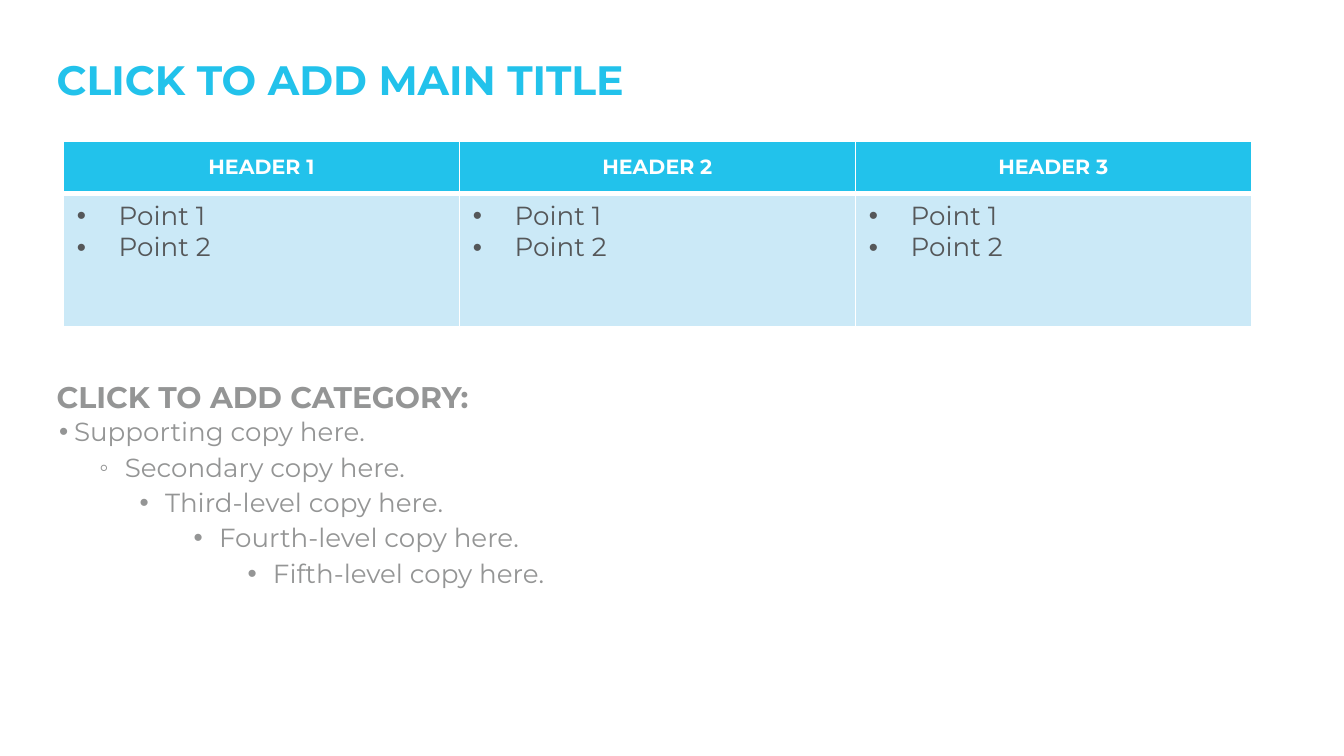
from collections import namedtuple

from lxml import etree
from pptx import Presentation
from pptx import util as u
from pptx.dml.color import RGBColor
from pptx.enum import text
from pptx.oxml import ns

COLOURS = {"cyan": "22C2EB", "pale": "CBE9F7", "white": "FFFFFF",
           "dark": "555759", "grey": "949595"}
FONT = "Montserrat"
Box = namedtuple("Box", "left top width height")  # centimetres


def colour(name):
    return RGBColor.from_string(COLOURS[name])


def add_solid(parent, tag, name):
    """Append a colour element, wrapped in the given tag."""
    holder = etree.SubElement(parent, ns.qn(tag))
    etree.SubElement(holder, ns.qn("a:srgbClr"), val=COLOURS[name])


def write(frame, content, first=False, size=14, ink="grey", bold=False,
          align=text.PP_ALIGN.LEFT, spacing=1.0, before=0, level=0,
          bullet=None, indent=0, hang=0):
    """Write one paragraph; indent and hang are in centimetres."""
    para = frame.paragraphs[0] if first else frame.add_paragraph()
    para.alignment, para.level, para.line_spacing = align, level, spacing
    if before:
        para.space_before = u.Pt(before)
    if bullet:
        props = para._p.get_or_add_pPr()
        props.set("marL", str(u.Cm(indent)))
        props.set("indent", str(-u.Cm(hang)))
        add_solid(props, "a:buClr", ink)
        etree.SubElement(props, ns.qn("a:buFont"), typeface="Arial")
        etree.SubElement(props, ns.qn("a:buChar"), char=bullet)
    span = para.add_run()
    span.text = content
    span.font.name, span.font.size, span.font.bold = FONT, u.Pt(size), bold
    span.font.color.rgb = colour(ink)


def add_frame(page, box):
    frame = page.shapes.add_textbox(*map(u.Cm, box)).text_frame
    frame.word_wrap = True
    frame.vertical_anchor = text.MSO_ANCHOR.TOP
    return frame


def add_heading(page, box, content, **style):
    write(add_frame(page, box), content, first=True, bold=True,
          spacing=0.9, **style)


def style_cell(cell, fill, **widths):
    """Give a cell white borders (widths in points) and a fill."""
    props = cell._tc.get_or_add_tcPr()
    for side in "LRTB":
        line = etree.SubElement(props, ns.qn(f"a:ln{side}"),
                                w=str(u.Pt(widths.get(side, 1))))
        add_solid(line, "a:solidFill", "white")
    cell.fill.solid()
    cell.fill.fore_color.rgb = colour(fill)


def add_points_table(page, box, headers, points, header_height):
    table = page.shapes.add_table(2, len(headers), *map(u.Cm, box)).table
    table.horz_banding = False
    table.rows[0].height = u.Cm(header_height)
    table.rows[1].height = u.Cm(box.height - header_height)
    for index, header in enumerate(headers):
        table.columns[index].width = u.Cm(box.width / len(headers))
        # Header cell
        cell = table.cell(0, index)
        style_cell(cell, "cyan", B=3)
        cell.vertical_anchor = text.MSO_ANCHOR.MIDDLE
        write(cell.text_frame, header, first=True, size=11, ink="white",
              bold=True, align=text.PP_ALIGN.CENTER)
        # Bulleted cell
        cell = table.cell(1, index)
        style_cell(cell, "pale", T=3)
        for number, point in enumerate(points):
            write(cell.text_frame, point, first=number == 0, ink="dark",
                  bullet="•", indent=0.79, hang=0.79)


def add_outline(page, box, items):
    frame = add_frame(page, box)
    for level, (content, bullet, indent, hang) in enumerate(items):
        write(frame, content, first=level == 0, level=level, spacing=0.9,
              before=3.8 if level else 0, bullet=bullet, indent=indent,
              hang=hang)


def main():
    deck = Presentation()
    deck.slide_width, deck.slide_height = u.Cm(25.4), u.Cm(14.29)
    page = deck.slides.add_slide(deck.slide_layouts[6])

    # Title
    add_heading(page, Box(0.82, 1.02, 22.78, 0.94),
                "CLICK TO ADD MAIN TITLE", size=22, ink="cyan")
    # Table
    add_points_table(page, Box(1.2, 2.67, 22.45, 3.5),
                     [f"HEADER {number}" for number in (1, 2, 3)],
                     ["Point 1", "Point 2"], header_height=0.98)
    # Category and its outline
    add_heading(page, Box(0.82, 7.11, 22.78, 0.69),
                "CLICK TO ADD CATEGORY:", size=16)
    add_outline(page, Box(0.87, 7.8, 22.78, 4.14), [
        ("Supporting copy here.", "•", 0.28, 0.28),
        ("Secondary copy here.", "◦", 1.24, 0.48),
        ("Third-level copy here.", "•", 2.0, 0.48),
        ("Fourth-level copy here.", "•", 3.02, 0.48),
        ("Fifth-level copy here.", "•", 4.04, 0.48),
    ])
    deck.save("out.pptx")


if __name__ == "__main__":
    main()
